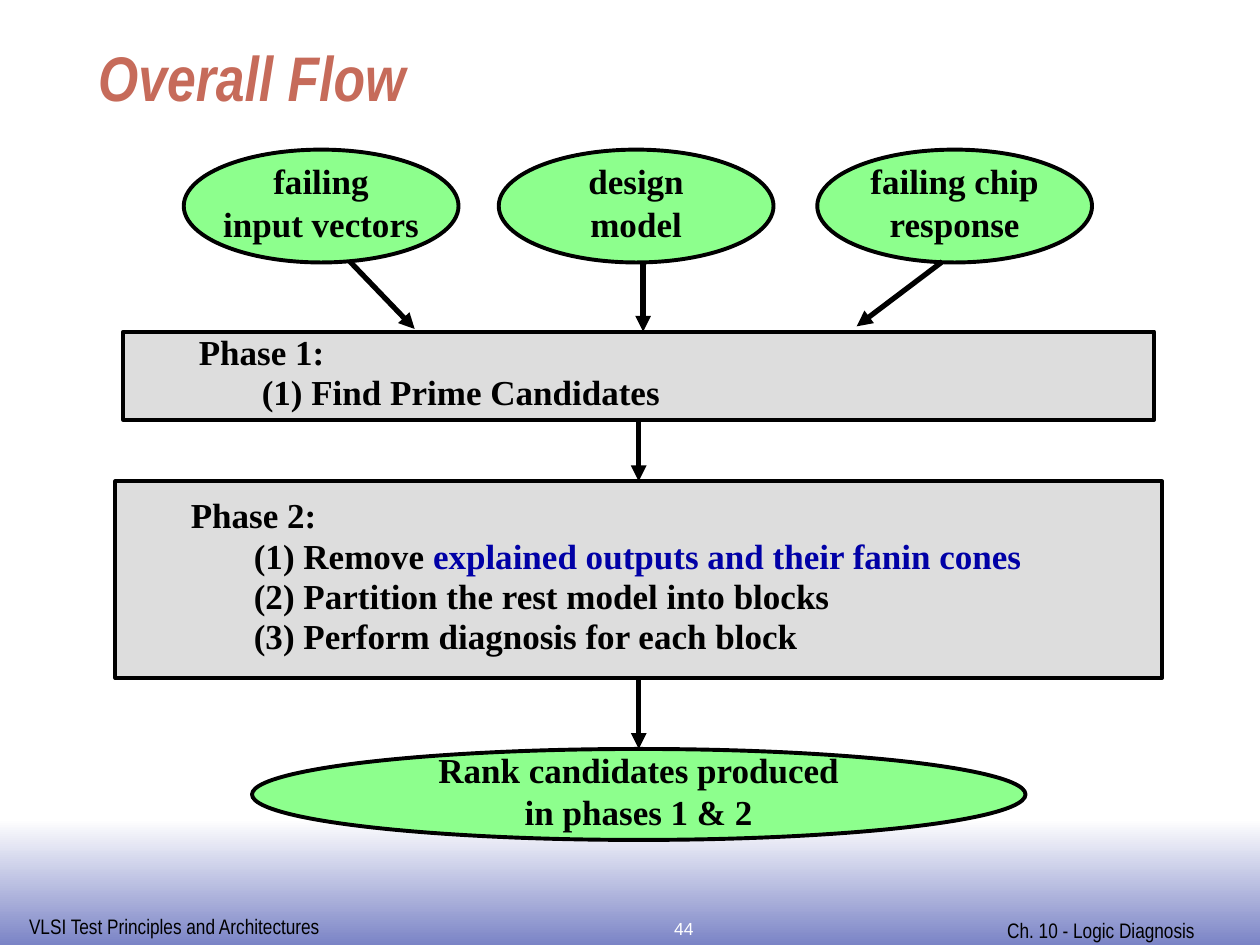
from lxml import etree
from pptx import Presentation
from pptx.dml.color import RGBColor
from pptx.enum.shapes import MSO_CONNECTOR, MSO_SHAPE
from pptx.enum.text import MSO_ANCHOR, PP_ALIGN
from pptx.oxml.ns import qn
from pptx.util import Pt

BLACK = RGBColor(0x00, 0x00, 0x00)
WHITE = RGBColor(0xFF, 0xFF, 0xFF)
GREY = RGBColor(0xDD, 0xDD, 0xDD)
GREEN = RGBColor(0x8D, 0xFF, 0x8D)
BLUE = RGBColor(0x00, 0x00, 0xA6)
RUST = RGBColor(0xC6, 0x6B, 0x5A)
LILAC = RGBColor(0x7B, 0x84, 0xC6)

RECT, OVAL = MSO_SHAPE.RECTANGLE, MSO_SHAPE.OVAL
STRAIGHT = MSO_CONNECTOR.STRAIGHT
TOP, MIDDLE, BOTTOM = MSO_ANCHOR.TOP, MSO_ANCHOR.MIDDLE, MSO_ANCHOR.BOTTOM
LEFT, CENTER = PP_ALIGN.LEFT, PP_ALIGN.CENTER
SERIF, NARROW, SANS = "Times New Roman", "Arial Narrow", "Arial"


def set_font(para, name, size, color, bold=False, italic=False):
    font = para.font
    font.name, font.size = name, Pt(size)
    font.bold, font.italic = bold, italic
    font.color.rgb = color


def add_label(slide, text, pos, name, size, color,
              align=LEFT, anchor=TOP, bold=False, italic=False):
    box = slide.shapes.add_textbox(*map(Pt, pos))
    frame = box.text_frame
    frame.word_wrap = True
    frame.vertical_anchor = anchor
    para = frame.paragraphs[0]
    para.text, para.alignment = text, align
    set_font(para, name, size, color, bold, italic)
    return para


def add_node(slide, kind, pos, fill):
    node = slide.shapes.add_shape(kind, *map(Pt, pos))
    node.shadow.inherit = False
    node.fill.solid()
    node.fill.fore_color.rgb = fill
    node.line.color.rgb = BLACK
    node.line.width = Pt(2.25)
    node.text_frame.vertical_anchor = MIDDLE
    return node


def add_lines(frame, lines, align, space):
    """Fill a frame; each line is a list of (text, colour) runs."""
    for i, runs in enumerate(lines):
        para = frame.add_paragraph() if i else frame.paragraphs[0]
        para.alignment, para.line_spacing = align, space
        para.space_before = Pt(5 if i else 0)
        set_font(para, SERIF, 20, BLACK, bold=True)
        for text, color in runs:
            run = para.add_run()
            run.text = text
            run.font.color.rgb = color


def add_oval(slide, pos, lines):
    oval = add_node(slide, OVAL, pos, GREEN)
    oval.text_frame.word_wrap = False
    add_lines(oval.text_frame, [[(t, BLACK)] for t in lines], CENTER, 0.8)
    return oval


def add_phase(slide, pos, lines):
    box = add_node(slide, RECT, pos, GREY)
    frame = box.text_frame
    frame.word_wrap = True
    add_lines(frame, lines, LEFT, 0.75)
    # Heading at half an inch, steps at one inch
    for i, para in enumerate(frame.paragraphs):
        props = para._p.get_or_add_pPr()
        props.set("marL", str(Pt(72 if i else 36)))
        props.set("indent", "0")
    return box


def add_arrow(slide, ends):
    arrow = slide.shapes.add_connector(STRAIGHT, *map(Pt, ends))
    arrow.line.color.rgb = BLACK
    arrow.line.width = Pt(3)
    head = etree.SubElement(arrow.line._get_or_add_ln(), qn("a:tailEnd"))
    head.set("type", "triangle")
    etree.SubElement(arrow._element.spPr, qn("a:effectLst"))
    return arrow


def join_nodes(slide, upper, lower):
    arrow = add_arrow(slide, (0, 0, 0, 0))
    arrow.begin_connect(upper, 2)
    arrow.end_connect(lower, 0)


def add_footer(slide):
    band = slide.shapes.add_shape(RECT, Pt(0), Pt(468), Pt(720), Pt(72))
    band.shadow.inherit = False
    band.line.fill.background()
    band.fill.gradient()
    band.fill.gradient_angle = 270
    for stop, place, color in zip(band.fill.gradient_stops, (0, 1), (WHITE, LILAC)):
        stop.position = place
        stop.color.rgb = color
    add_label(slide, "VLSI Test Principles and Architectures",
              (9.5, 518.5, 182, 21.5), NARROW, 12, BLACK)
    add_label(slide, "Ch. 10 - Logic Diagnosis",
              (568.5, 520.5, 141, 21.5), NARROW, 12, BLACK)
    add_label(slide, "44", (307, 508.5, 167.5, 31.5), SANS, 10, WHITE,
              align=CENTER, anchor=BOTTOM)


def main():
    deck = Presentation()
    deck.slide_width, deck.slide_height = Pt(720), Pt(540)
    slide = deck.slides.add_slide(deck.slide_layouts[6])

    # Footer and title
    add_footer(slide)
    title = add_label(slide, "Overall Flow", (49, 10, 650, 58.5), NARROW, 36,
                      RUST, anchor=BOTTOM, bold=True, italic=True)
    title.line_spacing = 0.8

    # Phases and result
    first = add_phase(slide, (70.5, 189.5, 589, 50.5), [
        [("Phase 1:", BLACK)],
        [("(1) Find Prime Candidates", BLACK)],
    ])
    second = add_phase(slide, (66, 275, 598, 112.5), [
        [("Phase 2:", BLACK)],
        [("(1) Remove ", BLACK),
         ("explained outputs and their fanin cones", BLUE)],
        [("(2) Partition the rest model into blocks", BLACK)],
        [("(3) Perform diagnosis for each block", BLACK)],
    ])
    rank = add_oval(slide, (144, 428, 442, 52),
                    ["Rank candidates produced", "in phases 1 & 2"])
    join_nodes(slide, first, second)
    join_nodes(slide, second, rank)

    # Inputs and their arrows into phase 1
    inputs = [
        (105, ["failing", "input vectors"], (200, 149.5, 237, 188)),
        (285, ["design", "model"], (367.5, 149.5, 367.5, 189.5)),
        (467, ["failing chip", "response"], (538.5, 149.5, 489.5, 186.5)),
    ]
    for left, lines, ends in inputs:
        add_oval(slide, (left, 85.5, 157, 64.5), lines)
        add_arrow(slide, ends)

    deck.save("out.pptx")


if __name__ == "__main__":
    main()
